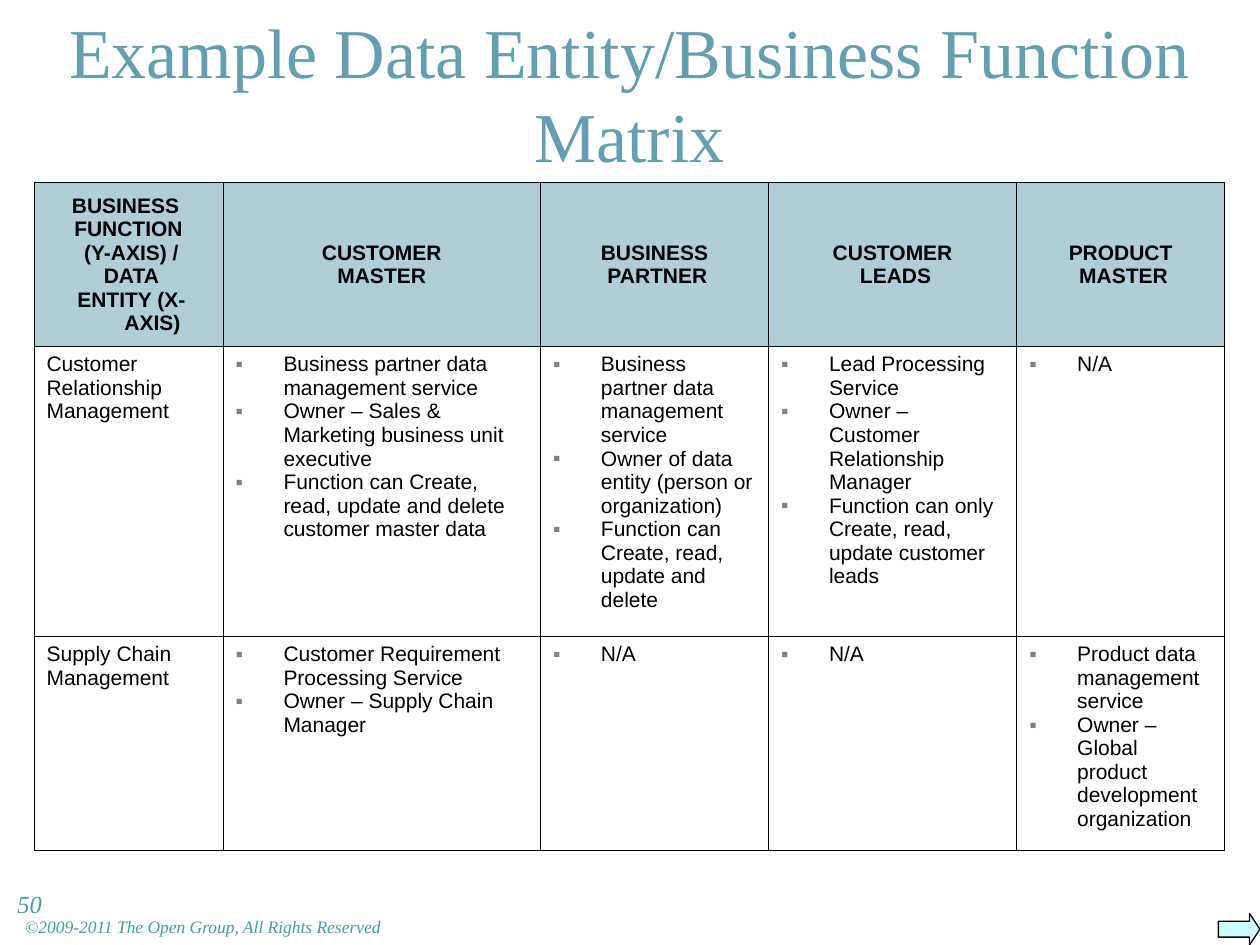
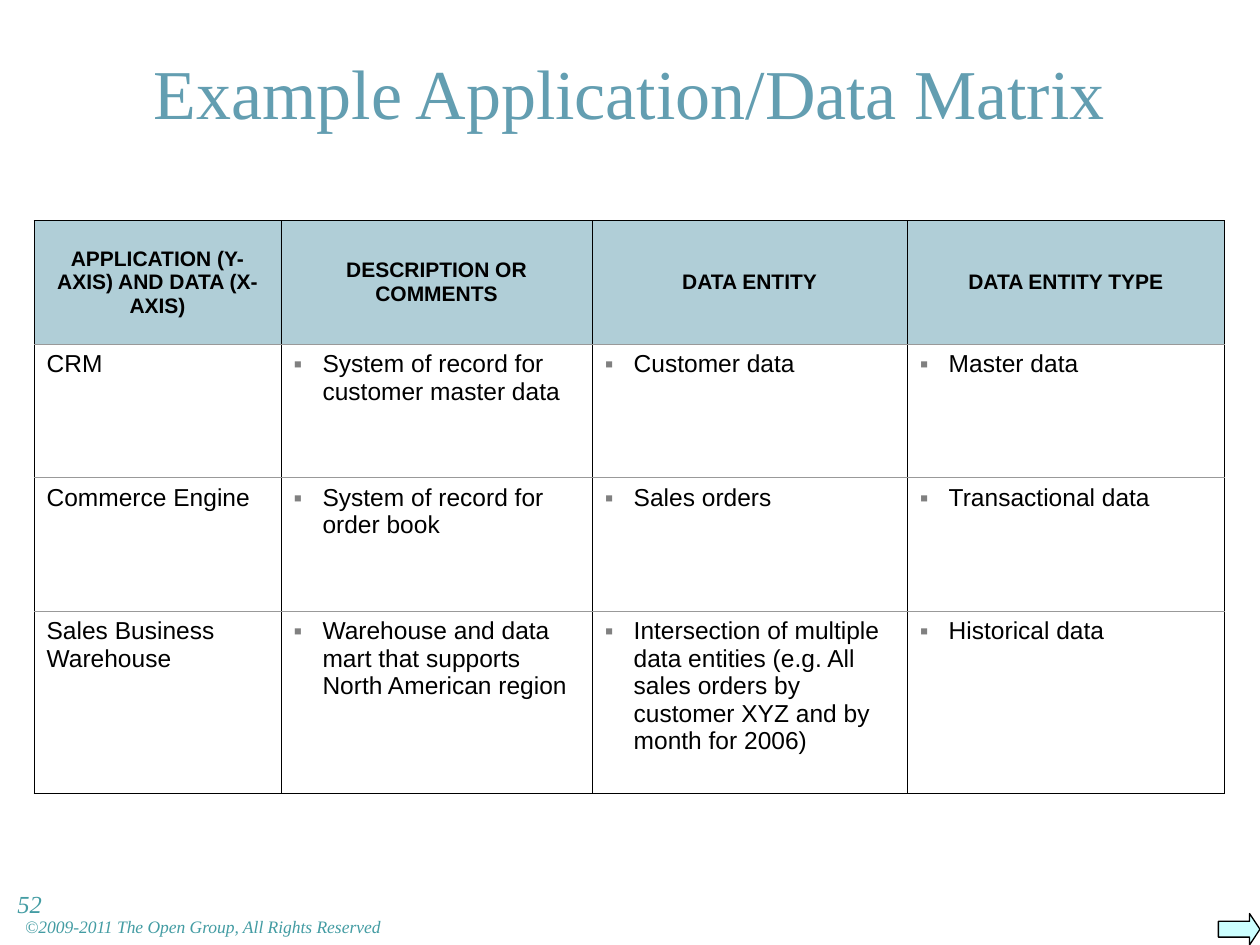
from lxml.etree import SubElement
from pptx import Presentation
from pptx.dml.color import RGBColor
from pptx.enum.shapes import MSO_SHAPE
from pptx.enum.text import MSO_ANCHOR, PP_ALIGN
from pptx.oxml import parse_xml
from pptx.oxml.ns import nsdecls, qn
from pptx.util import Inches, Pt

TEAL = RGBColor(0x63, 0x9E, 0xB1)
SEA = RGBColor(0x43, 0x9C, 0xA3)
AQUA = RGBColor(0xCC, 0xFF, 0xFF)
BLACK = RGBColor(0, 0, 0)
GREY = RGBColor(0x99, 0x99, 0x99)
DOT = RGBColor(0x80, 0x80, 0x80)
SERIF = "Times New Roman"
SANS = "Arial"
LEFT = 0.27
WIDTH = 9.45

FUNCTIONS = [
    ["BUSINESS \nFUNCTION\n (Y-AXIS) /\n DATA\n ENTITY (X-AXIS)",
     "CUSTOMER\n MASTER ", "BUSINESS\n PARTNER", "CUSTOMER\n LEADS",
     "PRODUCT\n MASTER"],
    ["Customer\nRelationship\nManagement",
     "Business partner data management service\n"
     "Owner – Sales & Marketing business unit executive\n"
     "Function can Create, read, update and delete customer master data",
     "Business partner data management service\n"
     "Owner of data entity (person or organization)\n"
     "Function can Create, read, update and delete",
     "Lead Processing Service\n"
     "Owner – Customer Relationship Manager\n"
     "Function can only Create, read, update customer leads",
     "N/A"],
    ["Supply Chain\nManagement",
     "Customer Requirement Processing Service\n"
     "Owner – Supply Chain Manager",
     "N/A", "N/A",
     "Product data management service\n"
     "Owner – Global product development organization"],
]

SYSTEMS = [
    ["APPLICATION (Y-AXIS) AND DATA (X-AXIS)", "DESCRIPTION OR COMMENTS",
     "DATA ENTITY", "DATA ENTITY TYPE"],
    ["CRM", "System of record for customer master data",
     "Customer data", "Master data"],
    ["Commerce Engine", "System of record for order book",
     "Sales orders", "Transactional data"],
    ["Sales Business Warehouse",
     "Warehouse and data mart that supports North American region",
     "Intersection of multiple data entities (e.g. All sales orders by "
     "customer XYZ and by month for 2006)",
     "Historical data"],
]


def add_bullet(props):
    """Give paragraph properties a small square bullet."""
    color = SubElement(props, qn("a:buClr"))
    SubElement(color, qn("a:srgbClr"), val=str(DOT))
    SubElement(props, qn("a:buFont"), typeface=SANS)
    SubElement(props, qn("a:buChar"), char="▪")


def write(frame, text, size=12, font=SANS, color=BLACK, bold=False,
          italic=False, align=PP_ALIGN.LEFT, hang=0, bullet=False):
    """Fill a text frame with one paragraph for each line of text."""
    frame.word_wrap = True
    for i, line in enumerate(text.split("\n")):
        para = frame.add_paragraph() if i else frame.paragraphs[0]
        para.alignment = align
        props = para._p.get_or_add_pPr()
        if hang:
            props.set("marL", str(Inches(hang)))
            props.set("indent", str(-Inches(hang)))
        if bullet:
            add_bullet(props)
        run = para.add_run()
        run.text = line
        run.font.size = Pt(size)
        run.font.name = font
        run.font.bold = bold
        run.font.italic = italic
        run.font.color.rgb = color


def add_text(slide, text, left, top, width, height, inset=0.1,
             anchor=MSO_ANCHOR.TOP, **style):
    """Add a text box in the serif font."""
    box = slide.shapes.add_textbox(
        Inches(left), Inches(top), Inches(width), Inches(height))
    frame = box.text_frame
    frame.margin_left = Inches(inset)
    frame.vertical_anchor = anchor
    write(frame, text, font=SERIF, **style)


def add_arrow(slide):
    """Add the arrow in the lower right corner."""
    arrow = slide.shapes.add_shape(
        MSO_SHAPE.RIGHT_ARROW, Inches(9.67), Inches(7.25),
        Inches(0.33), Inches(0.25))
    arrow.adjustments[1] = 0.33
    arrow.shadow.inherit = False
    arrow.fill.solid()
    arrow.fill.fore_color.rgb = AQUA
    arrow.line.color.rgb = BLACK
    arrow.line.width = Pt(0.75)


def set_edges(cell, above, below):
    """Draw a cell's borders, black at the sides."""
    props = cell._tc.get_or_add_tcPr()
    edges = zip("LRTB", (BLACK, BLACK, above, below))
    for i, (side, color) in enumerate(edges):
        props.insert(i, parse_xml(
            f'<a:ln{side} {nsdecls("a")} w="{Pt(0.45)}"><a:solidFill>'
            f'<a:srgbClr val="{color}"/></a:solidFill></a:ln{side}>'))


def set_fill(cell, head):
    """Fill a heading cell half clear and leave others empty."""
    if not head:
        cell.fill.background()
        return
    cell.fill.solid()
    cell.fill.fore_color.rgb = TEAL
    tint = cell._tc.tcPr.find(".//" + qn("a:srgbClr"))
    SubElement(tint, qn("a:alpha"), val="50000")


def add_matrix(slide, data, top, widths, heights, size, hang,
               head_hang=0, rule=BLACK):
    """Add a matrix with a heading row and bulleted entries."""
    table = slide.shapes.add_table(
        len(data), len(widths), Inches(LEFT), Inches(top),
        Inches(WIDTH), Inches(sum(heights))).table
    table.first_row = table.horz_banding = False
    for col, width in zip(table.columns, widths):
        col.width = Inches(width)
    for row, height in zip(table.rows, heights):
        row.height = Inches(height)
    last = len(data) - 1
    for r, line in enumerate(data):
        for c, text in enumerate(line):
            cell = table.cell(r, c)
            set_fill(cell, r == 0)
            set_edges(cell, rule if r else BLACK, rule if r < last else BLACK)
            if r == 0:
                cell.vertical_anchor = MSO_ANCHOR.MIDDLE
                write(cell.text_frame, text, bold=True,
                      align=PP_ALIGN.CENTER, hang=head_hang)
            else:
                write(cell.text_frame, text, size=size,
                      hang=hang if c else 0, bullet=c > 0)


def add_page(deck, title, number):
    """Add a slide with its title, arrow and footer."""
    slide = deck.slides.add_slide(deck.slide_layouts[6])
    add_text(slide, title, LEFT, -0.01, WIDTH, 1.48, size=40, color=TEAL,
             anchor=MSO_ANCHOR.MIDDLE, align=PP_ALIGN.CENTER)
    add_arrow(slide)
    add_text(slide, "©2009-2011 The Open Group, All Rights Reserved",
             0.2, 7.22, 7.32, 0.24, inset=0, size=10, color=SEA, italic=True)
    add_text(slide, number, 0.04, 7.01, 1.18, 0.52, size=14, color=SEA,
             italic=True)
    return slide


def main():
    """Build and save the deck."""
    deck = Presentation()
    deck.slide_width = Inches(10)
    deck.slide_height = Inches(7.5)
    slide = add_page(deck, "Example Data Entity/Business Function Matrix", "50")
    add_matrix(slide, FUNCTIONS, 1.45, [1.5, 2.52, 1.81, 1.97, 1.65],
               [1.3, 2.3, 1.7], size=12, hang=0.38, head_hang=0.38)
    slide = add_page(deck, "Example Application/Data Matrix", "52")
    add_matrix(slide, SYSTEMS, 1.75, [1.96, 2.47, 2.5, 2.52],
               [0.98, 1.06, 1.06, 1.45], size=14, hang=0.23, rule=GREY)
    deck.save("out.pptx")


if __name__ == "__main__":
    main()
